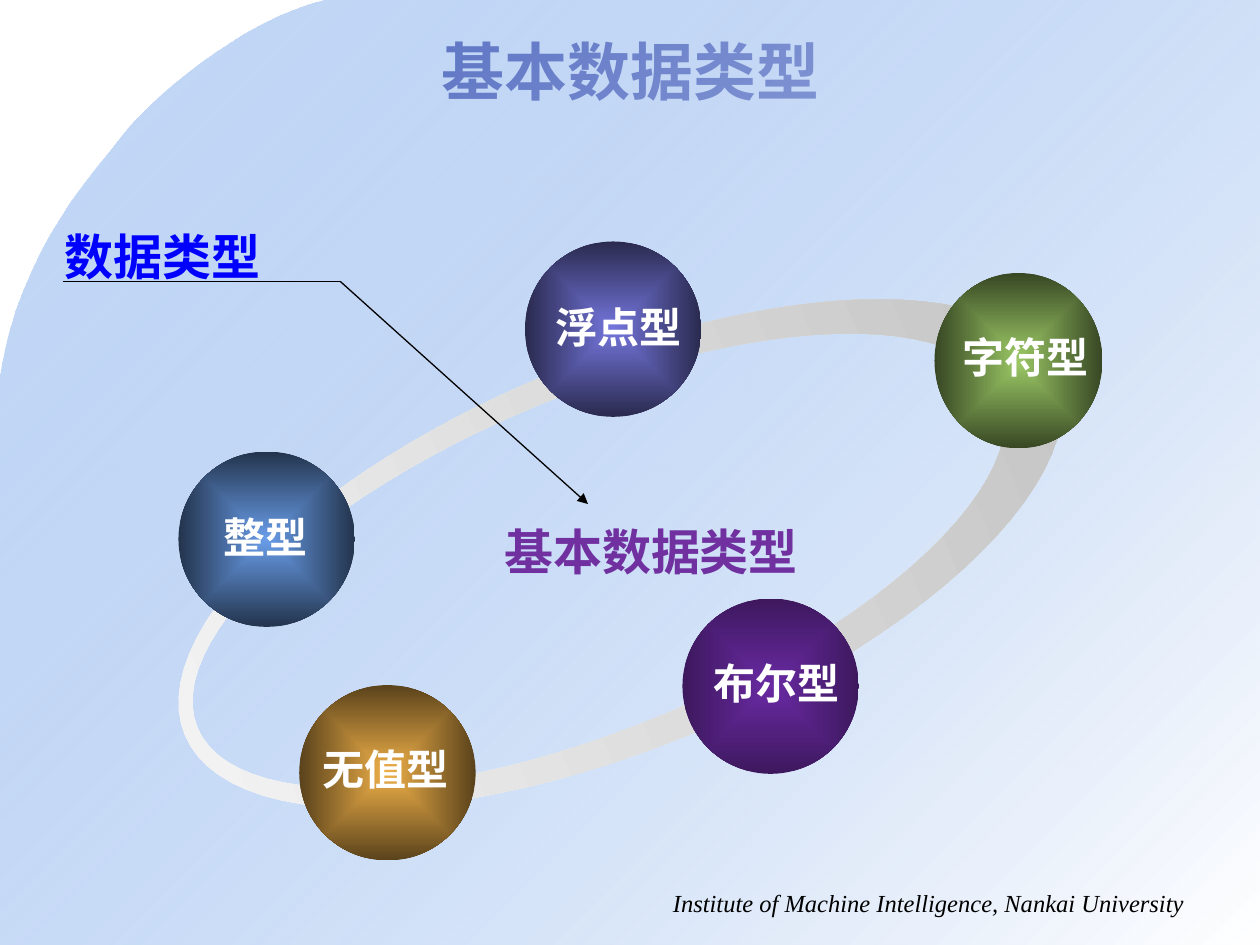
import math

import pptx
import pptx.dml.color
import pptx.enum.shapes
import pptx.enum.text
import pptx.oxml
import pptx.oxml.ns
import pptx.util

CJK, SERIF = "Noto Sans CJK SC", "Times New Roman"
COLOR = {
    "title": "37399B", "center": "7030A0", "callout": "0000FF",
    "label": "FFFFFF", "black": "000000", "sky": "699DE9", "white": "FFFFFF",
    "ring_light": "F8F8F8", "ring_dark": "C0C0C0",
}

# Content; all places are on a grid of 120 columns by 90 rows
COLUMNS, ROWS = 120, 90
TITLE = "基本数据类型"
FOOTER = "Institute of Machine Intelligence, Nankai University"
CENTER = "基本数据类型"
CALLOUT = "数据类型"
BALL_WIDTH, BALL_HEIGHT = 16.8, 16.7
# label, ball place, ball width, label box, inner and outer colour
TYPES = [
    ("浮点型", (50, 23), BALL_WIDTH, (51.75, 28.1, 14.6, 6), ("7476DC", "2A2A4F")),
    ("整型", (17, 43), BALL_WIDTH, (20.15, 48.1, 10.6, 6), ("699DE9", "23344D")),
    ("无值型", (28.5, 65.25), BALL_WIDTH, (29.5, 70.25, 14.6, 6), ("EFB049", "5A421B")),
    ("布尔型", (65, 57), BALL_WIDTH, (66.75, 62, 14.6, 6), ("692AA2", "3D185E")),
    ("字符型", (89, 26), 16, (90.5, 31, 14.6, 6), ("9AC664", "374724")),
]
BACKDROP_CURVES = [
    ((31, 0), (22.8, 1.92), (13.92, 9.96), (11.76, 12.84)),
    ((11.76, 12.84), (9.6, 15.84), (1.92, 23.28), (0, 36.12)),
]
# centre x, centre y, half width, half height
RING_OUTER = (59.1, 52.75, 44.94, 18.42)
RING_INNER = (56.94, 52.57, 41.4, 15.9)
RING_TURN = 337.4
CALLOUT_LINES = [((32.4, 26.8), (56, 48), True), ((32.4, 26.8), (6, 26.8), False)]

deck = pptx.Presentation()
deck.slide_width, deck.slide_height = pptx.util.Inches(10), pptx.util.Inches(7.5)
page = deck.slides.add_slide(deck.slide_layouts[5])
UNIT = deck.slide_width / COLUMNS


def grid(*values):
    return [round(value * UNIT) for value in values]


def rgb(value):
    return pptx.dml.color.RGBColor.from_string(value)


def gradient_fill(shape, first, last, angle=None, opacity=100):
    """Linear at the given angle, or from the middle outwards without one."""
    shape.shadow.inherit = False
    shape.line.fill.background()
    shape.fill.background()
    direction = (
        '<a:path path="shape"><a:fillToRect l="50000" t="50000" r="50000" b="50000"/></a:path>'
        if angle is None else f'<a:lin ang="{angle * 60000}" scaled="0"/>'
    )
    gradient = pptx.oxml.parse_xml(
        f'<a:gradFill {pptx.oxml.ns.nsdecls("a")} rotWithShape="1"><a:gsLst>'
        f'<a:gs pos="0"><a:srgbClr val="{first}"><a:alpha val="{opacity * 1000}"/></a:srgbClr></a:gs>'
        f'<a:gs pos="100000"><a:srgbClr val="{last}"/></a:gs>'
        f'</a:gsLst>{direction}</a:gradFill>'
    )
    properties = shape._element.spPr
    properties.replace(properties.find(pptx.oxml.ns.qn("a:noFill")), gradient)


def outline(*contours):
    builder = None
    for contour in contours:
        first, *rest = [grid(*point) for point in contour]
        if builder is None:
            builder = page.shapes.build_freeform(*first, scale=1.0)
        else:
            builder.move_to(*first)
        builder.add_line_segments(rest, close=True)
    return builder.convert_to_shape()


def curve_points(curve, steps=16):
    weights = (1, 3, 3, 1)
    for step in range(steps + 1):
        t = step / steps
        yield tuple(
            sum(weights[i] * (1 - t) ** (3 - i) * t ** i * curve[i][axis] for i in range(4))
            for axis in (0, 1)
        )


def ellipse_points(x, y, half_width, half_height, steps=96):
    for step in range(steps):
        turn = 2 * math.pi * step / steps
        yield x + half_width * math.cos(turn), y + half_height * math.sin(turn)


def write(box, text, size, color, align, font=CJK, bold=True, italic=False):
    para = box.text_frame.paragraphs[0]
    para.text = text
    para.alignment = align
    para.font.name, para.font.size = font, pptx.util.Pt(size)
    para.font.bold, para.font.italic = bold, italic
    para.font.color.rgb = rgb(COLOR[color])
    east_asian = pptx.oxml.parse_xml(
        f'<a:ea {pptx.oxml.ns.nsdecls("a")} typeface="{font}"/>')
    para._p.pPr.find(".//" + pptx.oxml.ns.qn("a:latin")).addnext(east_asian)


def text_box(place, *style, wrap=False, **options):
    box = page.shapes.add_textbox(*grid(*place))
    box.text_frame.word_wrap = wrap
    write(box, *style, **options)


ALIGN = pptx.enum.text.PP_ALIGN

# Backdrop with its curved corner
edge = [point for curve in BACKDROP_CURVES for point in curve_points(curve)]
backdrop = outline(edge + [(0, ROWS), (COLUMNS, ROWS), (COLUMNS, 0)])
gradient_fill(backdrop, COLOR["sky"], COLOR["white"], angle=45, opacity=39)

# Footer
text_box((58, 84, 56, 4.1), FOOTER, 14, "black", ALIGN.RIGHT,
         wrap=True, font=SERIF, bold=False, italic=True)

# Ring
ring = outline(list(ellipse_points(*RING_OUTER)), list(ellipse_points(*RING_INNER)))
ring.rotation = RING_TURN
gradient_fill(ring, COLOR["ring_light"], COLOR["ring_dark"], angle=0)

# Balls, then their labels
for label, place, width, label_place, shades in TYPES:
    ball = page.shapes.add_shape(
        pptx.enum.shapes.MSO_SHAPE.OVAL, *grid(*place, width, BALL_HEIGHT))
    gradient_fill(ball, *shades)
for label, place, width, label_place, shades in TYPES:
    text_box(label_place, label, 24, "label", ALIGN.LEFT)

# Centre text and callout
text_box((45, 49.1, 34, 6.9), CENTER, 28, "center", ALIGN.CENTER, wrap=True)
for start, end, has_arrow in CALLOUT_LINES:
    line = page.shapes.add_connector(
        pptx.enum.shapes.MSO_CONNECTOR.STRAIGHT, *grid(*start, *end))
    line.line.width = pptx.util.Pt(0.75)
    line.line.color.rgb = rgb(COLOR["black"])
    if has_arrow:
        line.line._get_or_add_ln().append(pptx.oxml.parse_xml(
            f'<a:tailEnd {pptx.oxml.ns.nsdecls("a")} type="triangle"/>'))
    line._element.spPr.append(pptx.oxml.parse_xml(
        f'<a:effectLst {pptx.oxml.ns.nsdecls("a")}/>'))
text_box((4.8, 21, 21.4, 6.9), CALLOUT, 28, "callout", ALIGN.CENTER)

# Title
title = page.shapes.title
title.left, title.top, title.width, title.height = grid(6, 3, 108, 7.4)
title.text_frame.vertical_anchor = pptx.enum.text.MSO_ANCHOR.MIDDLE
write(title, TITLE, 36, "title", ALIGN.CENTER)

deck.save("out.pptx")
